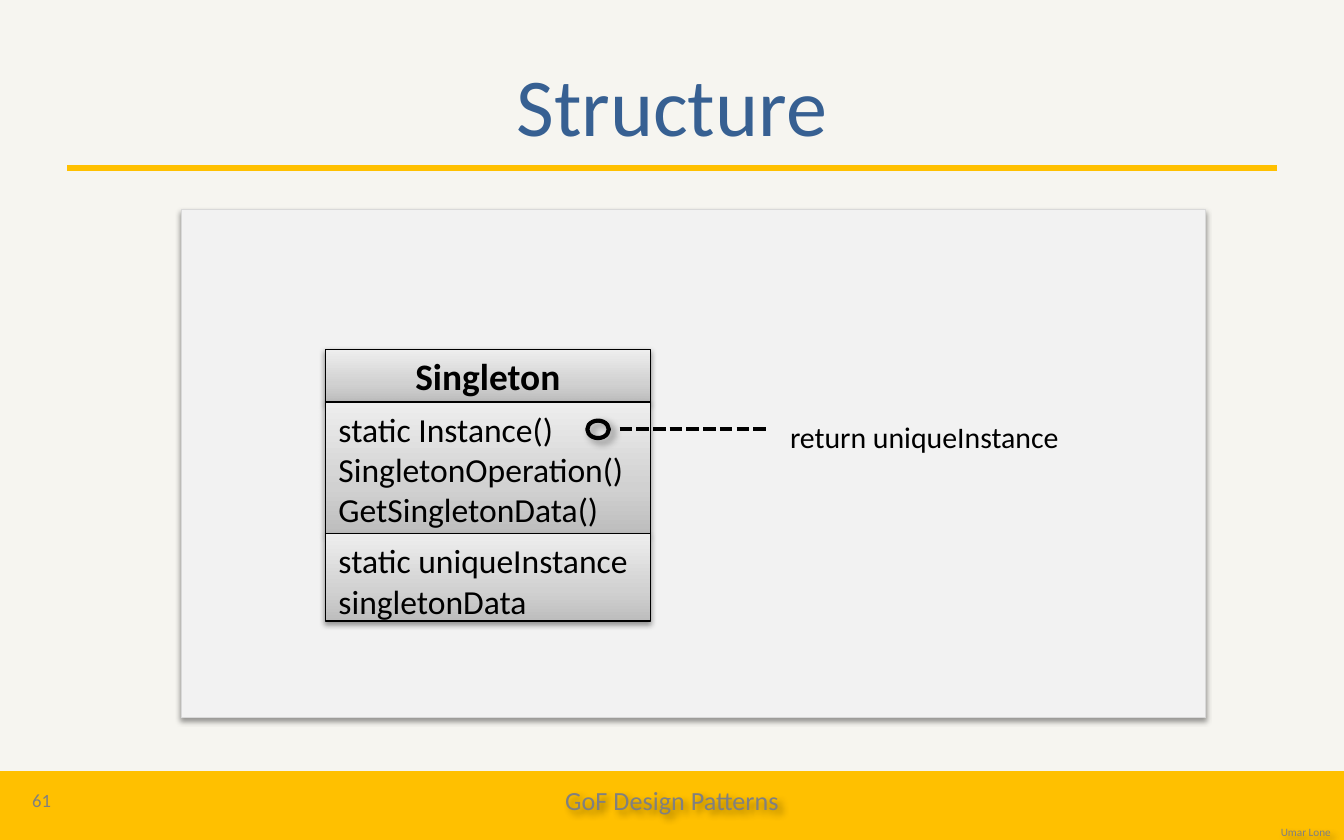
"""Build the Singleton structure slide with its class diagram and footer."""
from lxml import etree
from pptx import Presentation, util as u
from pptx.dml.color import RGBColor
from pptx.enum import dml, shapes, text
from pptx.oxml.ns import nsdecls, qn

GREY, GOLD, BLACK = "808080", "FFC000", "000000"
TITLE = "Structure"
CLASS_LEFT, CLASS_TOP, CLASS_WIDTH = 2.42, 2.6, 2.42
COMPARTMENTS = [
    (0.39, ["Singleton"], dict(size=20, bold=True, align="CENTER", anchor="MIDDLE")),
    (0.98, ["static Instance()", "SingletonOperation()", "GetSingletonData()"], dict(size=18)),
    (0.65, ["static uniqueInstance", "singletonData"], dict(size=18)),
]
GRADIENT = [(0, "BDBDBD"), (35, "D1D1D1"), (100, "EEEEEE")]
BOX_SHADOW = (38, 3.1, 1.6, 90)
TEXT_SHADOW = (40, 4, 3, 45)
LABELS = [
    ((3.99, 5.76, 2.02, 0.38), "GoF Design Patterns", 14, GREY, "CENTER", "MIDDLE", True),
    ((8.67, 6.12, 1.33, 0.17), "Umar Lone", 6, GREY, "RIGHT", "BOTTOM", True),
    ((0.03, 5.79, 0.56, 0.33), "61", 10, GREY, "CENTER", "MIDDLE", False),
    ((5.78, 3.06, 2.35, 0.37), "return uniqueInstance", 16, BLACK, "LEFT", "MIDDLE", False),
]
LINES = [((0.5, 1.25, 9.5, 1.25), GOLD, 3, None), ((4.61, 3.19, 5.7, 3.19), BLACK, 2.25, "SQUARE_DOT")]


def rgb(value):
    return RGBColor.from_string(value)


def inches(values):
    return [u.Inches(v) for v in values]


def effects(alpha, blur, dist, angle):
    return etree.fromstring(
        f'<a:effectLst {nsdecls("a")}><a:outerShdw blurRad="{u.Pt(blur)}" dist="{u.Pt(dist)}" '
        f'dir="{angle * 60000}" algn="ctr" rotWithShape="0"><a:srgbClr val="{BLACK}">'
        f'<a:alpha val="{alpha * 1000}"/></a:srgbClr></a:outerShdw></a:effectLst>')


def write(p, words, align, size, color, bold=False):
    p.alignment = getattr(text.PP_ALIGN, align)
    r = p.add_run()
    r.text = words
    for key, value in dict(name="Calibri", size=u.Pt(size), bold=bold).items():
        setattr(r.font, key, value)
    r.font.color.rgb = rgb(color)


def add_box(s, box, fill, line, weight, shadow=None, kind="RECTANGLE"):
    sp = s.shapes.add_shape(getattr(shapes.MSO_SHAPE, kind), *inches(box))
    sp.shadow.inherit = False
    if isinstance(fill, list):
        sp.fill.gradient()
        stops = sp._element.spPr.find(f'{qn("a:gradFill")}/{qn("a:gsLst")}')
        stops[:] = [etree.fromstring(
            f'<a:gs {nsdecls("a")} pos="{pos * 1000}"><a:srgbClr val="{color}"/></a:gs>')
            for pos, color in fill]
        stops.getnext().set("ang", str(270 * 60000))
    elif fill:
        sp.fill.solid()
        sp.fill.fore_color.rgb = rgb(fill)
    else:
        sp.fill.background()
    sp.line.color.rgb = rgb(line)
    sp.line.width = u.Pt(weight)
    if shadow:
        old = sp._element.spPr.find(qn("a:effectLst"))
        old.getparent().replace(old, effects(*shadow))
    return sp


def add_line(s, ends, color, weight, dash):
    line = s.shapes.add_connector(shapes.MSO_CONNECTOR.STRAIGHT, *inches(ends))
    etree.SubElement(line._element.spPr, qn("a:effectLst"))
    line.line.color.rgb = rgb(color)
    line.line.width = u.Pt(weight)
    if dash:
        line.line.dash_style = getattr(dml.MSO_LINE, dash)


def add_label(s, box, words, size, color, align, anchor, shadow):
    sp = s.shapes.add_textbox(*inches(box))
    tf = sp.text_frame
    tf.word_wrap = True
    tf.vertical_anchor = getattr(text.MSO_ANCHOR, anchor)
    write(tf.paragraphs[0], words, align, size, color)
    if shadow:
        sp._element.spPr.append(effects(*TEXT_SHADOW))


def add_compartment(s, top, height, rows, size, bold=False, align="LEFT", anchor="TOP"):
    sp = add_box(s, (CLASS_LEFT, top, CLASS_WIDTH, height), GRADIENT, BLACK, 0.75, BOX_SHADOW)
    tf = sp.text_frame
    tf.word_wrap = True
    tf.vertical_anchor = getattr(text.MSO_ANCHOR, anchor)
    for i, row in enumerate(rows):
        p = tf.add_paragraph() if i else tf.paragraphs[0]
        write(p, row, align, size, BLACK, bold)


def add_title(s):
    sp = s.shapes.title
    for key, value in zip(("left", "top", "width", "height"), inches((0.5, 0.25, 9, 1.04))):
        setattr(sp, key, value)
    tf = sp.text_frame
    tf.vertical_anchor = text.MSO_ANCHOR.MIDDLE
    write(tf.paragraphs[0], TITLE, "CENTER", 44, "376092")


def main():
    prs = Presentation()
    prs.slide_width, prs.slide_height = inches((10, 6.25))
    s = prs.slides.add_slide(prs.slide_layouts[5])
    s.background.fill.solid()
    s.background.fill.fore_color.rgb = rgb("F6F5F0")
    add_title(s)
    add_box(s, (0, 5.75, 10, 0.5), GOLD, GOLD, 2)
    add_box(s, (1.35, 1.56, 7.62, 3.78), "F2F2F2", "D9D9D9", 0.75, BOX_SHADOW)
    top = CLASS_TOP
    for height, rows, style in COMPARTMENTS:
        add_compartment(s, top, height, rows, **style)
        top += height
    add_box(s, (4.37, 3.13, 0.16, 0.13), None, BLACK, 2.25, (40, 4, 3, 45), "OVAL")
    for line in LINES:
        add_line(s, *line)
    for label in LABELS:
        add_label(s, *label)
    prs.save("out.pptx")


if __name__ == "__main__":
    main()
